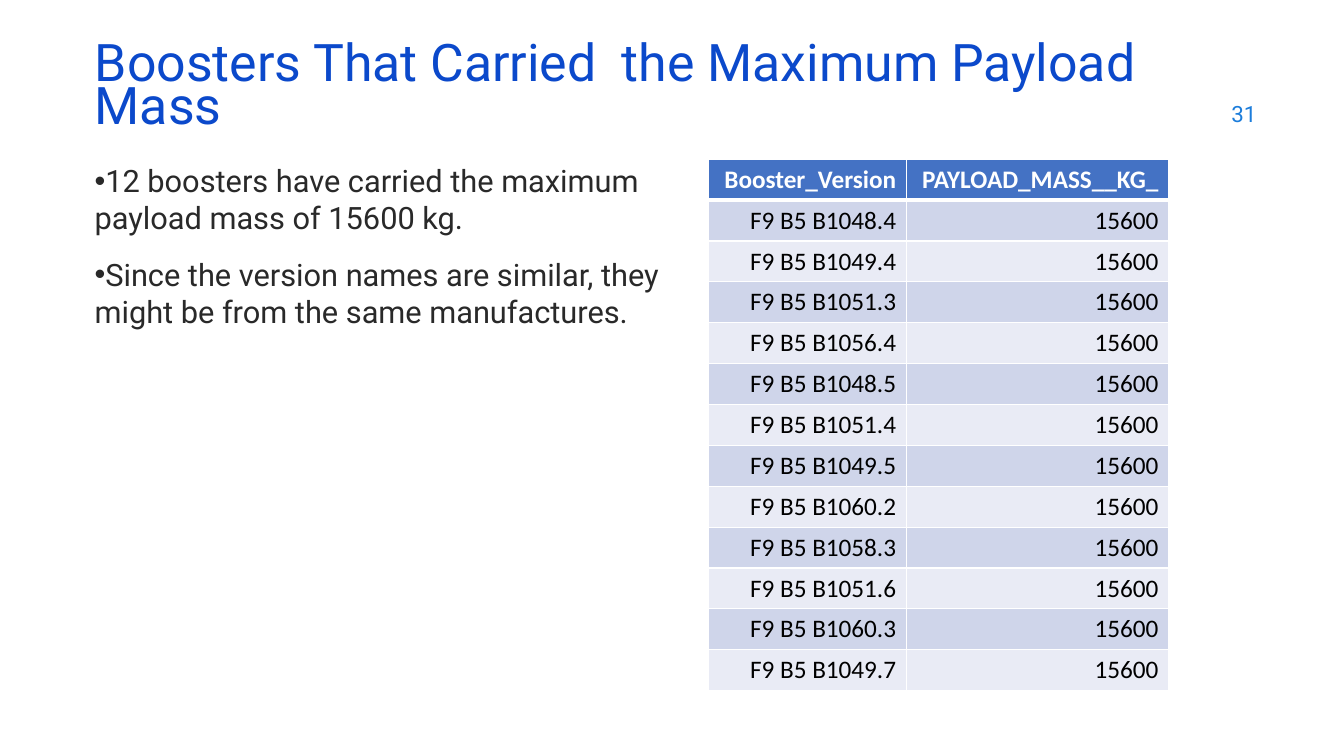
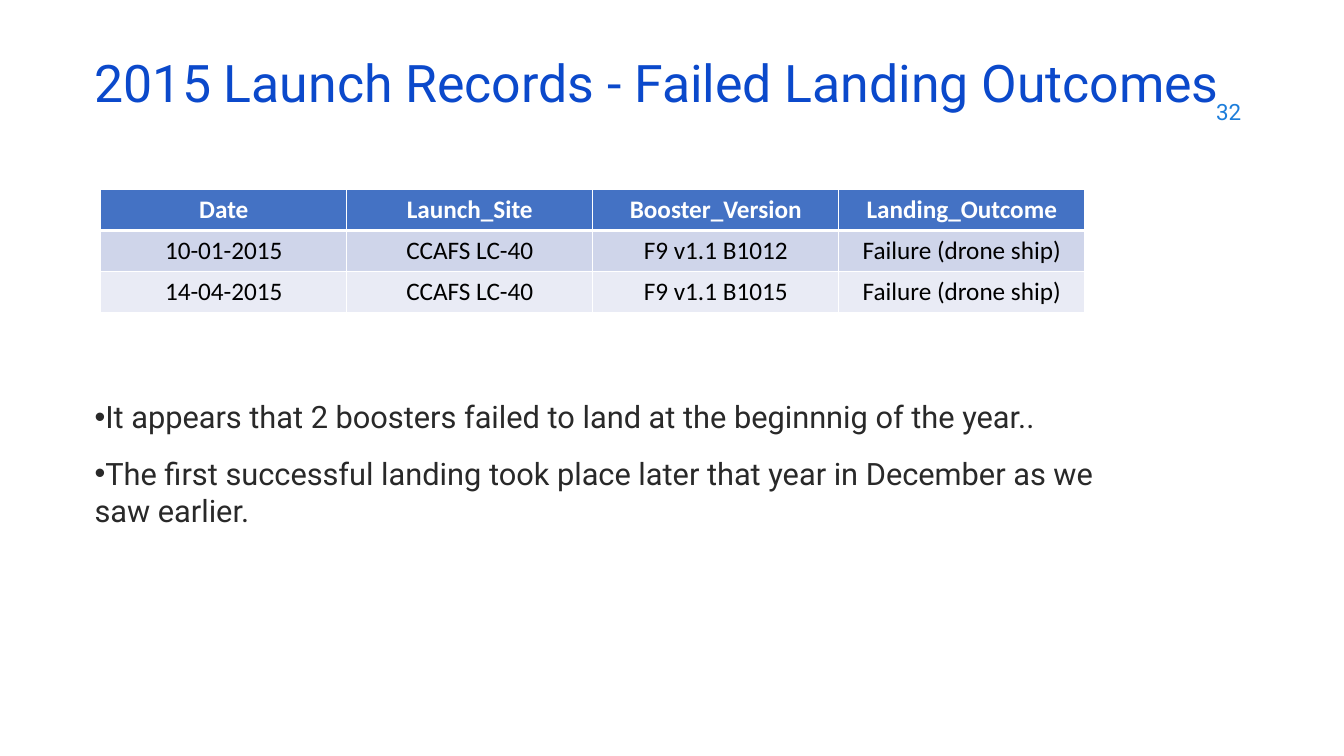
from lxml import etree
from pptx import Presentation
from pptx.dml.color import RGBColor
from pptx.enum.text import MSO_ANCHOR, MSO_AUTO_SIZE, PP_ALIGN
from pptx.oxml.ns import qn
from pptx.util import Pt

LEFT, CENTER, RIGHT = PP_ALIGN.LEFT, PP_ALIGN.CENTER, PP_ALIGN.RIGHT
MIDDLE, TOP = MSO_ANCHOR.MIDDLE, MSO_ANCHOR.TOP
NO_AUTOFIT = MSO_AUTO_SIZE.NONE

PX = 9144
TITLE_BLUE, NUMBER_BLUE, BODY_GREY = "0B49CB", "1C7DDB", "292929"
HEADER_FILL, BAND_FILLS = "4472C4", ("CFD5EA", "E9EBF5")
WHITE, BLACK = "FFFFFF", "000000"
HEADING_FONT, TABLE_FONT = "Roboto", "Calibri"
TITLE_BOX = (84, 59, 1150, 60)
NUMBER_SIZE = (300, 44)
ROW_HEIGHT = 40

MAX_PAYLOAD_BOOSTERS = [
    "F9 B5 B1048.4", "F9 B5 B1049.4", "F9 B5 B1051.3", "F9 B5 B1056.4",
    "F9 B5 B1048.5", "F9 B5 B1051.4", "F9 B5 B1049.5", "F9 B5 B1060.2",
    "F9 B5 B1058.3", "F9 B5 B1051.6", "F9 B5 B1060.3", "F9 B5 B1049.7",
]

SLIDES = [
    {
        "title": "Boosters That Carried  the Maximum Payload Mass",
        "number": "31",
        "number_at": (956, 91),
        "bullets": [
            "12 boosters have carried the maximum payload mass of 15600 kg.",
            "Since the version names are similar, they might be from the same manufactures.",
        ],
        "bullets_box": (84, 156, 594, 520),
        "rows": [("Booster_Version", "PAYLOAD_MASS__KG_")]
        + [(booster, "15600") for booster in MAX_PAYLOAD_BOOSTERS],
        "table_at": (703, 158),
        "columns": [196, 260],
        "table_align": RIGHT,
    },
    {
        "title": "2015 Launch Records - Failed Landing Outcomes",
        "number": "32",
        "number_at": (941, 89),
        "bullets": [
            "It appears that 2 boosters failed to land at the beginnnig of the year..",
            "The first successful landing took place later that year in December as we saw earlier.",
        ],
        "bullets_box": (84, 390, 1066, 285),
        "rows": [
            ("Date", "Launch_Site", "Booster_Version", "Landing_Outcome"),
            ("10-01-2015", "CCAFS LC-40", "F9 v1.1 B1012", "Failure (drone ship)"),
            ("14-04-2015", "CCAFS LC-40", "F9 v1.1 B1015", "Failure (drone ship)"),
        ],
        "table_at": (100, 188),
        "columns": [244] * 4,
        "table_align": CENTER,
    },
]


def color(value):
    return RGBColor.from_string(value)


def emu(lengths):
    return [length * PX for length in lengths]


def style(paragraph, font_name, size, hue, align, bold=False):
    paragraph.alignment = align
    for run in paragraph.runs:
        run.font.name = font_name
        run.font.size = Pt(size)
        run.font.bold = bold
        run.font.color.rgb = color(hue)


def prepare_frame(frame, anchor):
    frame.word_wrap = True
    frame.auto_size = NO_AUTOFIT
    frame.vertical_anchor = anchor


def set_title(slide, text):
    title = slide.shapes.title
    title.left, title.top, title.width, title.height = emu(TITLE_BOX)
    prepare_frame(title.text_frame, MIDDLE)
    title.text_frame.text = text
    heading = title.text_frame.paragraphs[0]
    heading.line_spacing = 0.7
    style(heading, HEADING_FONT, 37, TITLE_BLUE, LEFT)


def add_number(slide, text, position):
    frame = slide.shapes.add_textbox(*emu(position + NUMBER_SIZE)).text_frame
    prepare_frame(frame, MIDDLE)
    frame.text = text
    style(frame.paragraphs[0], HEADING_FONT, 16, NUMBER_BLUE, RIGHT)


def add_bullets(slide, lines, box):
    frame = slide.shapes.add_textbox(*emu(box)).text_frame
    prepare_frame(frame, TOP)
    for index, line in enumerate(lines):
        bullet = frame.add_paragraph() if index else frame.paragraphs[0]
        bullet.text = line
        properties = bullet._p.get_or_add_pPr()
        properties.set("marL", "0")
        properties.set("indent", "0")
        etree.SubElement(properties, qn("a:buFont"), typeface="Arial")
        etree.SubElement(properties, qn("a:buChar"), char="•")
        if index:
            bullet.space_before = Pt(14)
        style(bullet, HEADING_FONT, 22, BODY_GREY, LEFT)


def add_borders(cell, row):
    widths = {"L": 1, "R": 1, "T": 3 if row == 1 else 1, "B": 1 if row else 3}
    properties = cell._tc.get_or_add_tcPr()
    for side, width in widths.items():
        line = etree.SubElement(properties, qn("a:ln" + side), w=str(Pt(width)))
        fill = etree.SubElement(line, qn("a:solidFill"))
        etree.SubElement(fill, qn("a:srgbClr"), val=WHITE)


def add_records(slide, rows, position, columns, align):
    size = (sum(columns), ROW_HEIGHT * len(rows))
    table = slide.shapes.add_table(len(rows), len(columns), *emu(position + size)).table
    for column, width in zip(table.columns, columns):
        column.width = width * PX
    for row, values in enumerate(rows):
        header = row == 0
        for column, value in enumerate(values):
            cell = table.cell(row, column)
            cell.text_frame.text = value
            cell.vertical_anchor = MIDDLE
            add_borders(cell, row)
            cell.fill.solid()
            cell.fill.fore_color.rgb = color(HEADER_FILL if header else BAND_FILLS[(row - 1) % 2])
            style(cell.text_frame.paragraphs[0], TABLE_FONT, 18,
                  WHITE if header else BLACK, align, bold=header)


def main():
    deck = Presentation()
    deck.slide_width, deck.slide_height = emu((1333, 750))
    for content in SLIDES:
        slide = deck.slides.add_slide(deck.slide_layouts[5])
        set_title(slide, content["title"])
        add_number(slide, content["number"], content["number_at"])
        add_bullets(slide, content["bullets"], content["bullets_box"])
        add_records(slide, content["rows"], content["table_at"],
                    content["columns"], content["table_align"])
    deck.save("out.pptx")


if __name__ == "__main__":
    main()
